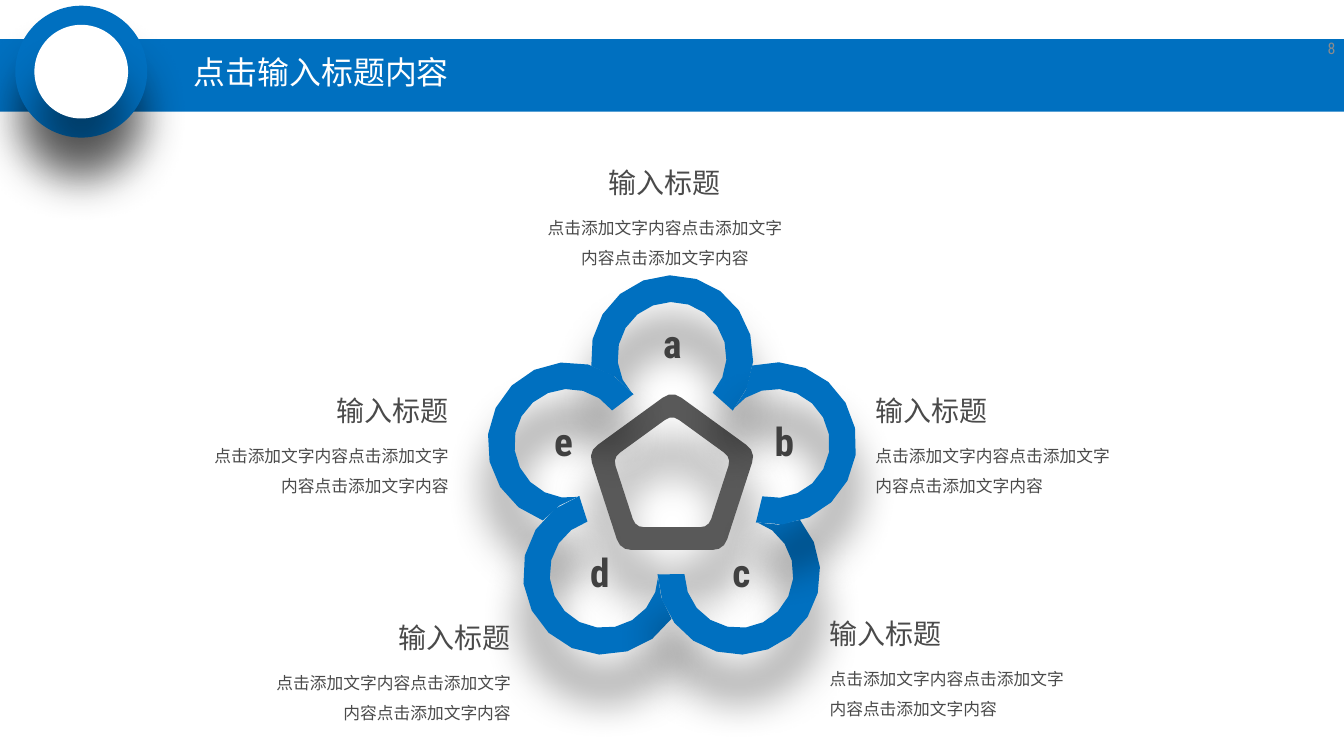
from dataclasses import dataclass
from math import atan2, ceil, cos, pi, radians, sin, tau

from lxml import etree
from pptx import Presentation
from pptx.dml.color import RGBColor
from pptx.enum.shapes import MSO_SHAPE as Shape
from pptx.enum.text import MSO_ANCHOR as Anchor, PP_ALIGN as Align
from pptx.oxml.ns import qn
from pptx.util import Inches, Pt


@dataclass(frozen=True)
class Theme:
    blue: RGBColor = RGBColor(0x00, 0x70, 0xC0)
    white: RGBColor = RGBColor(0xFF, 0xFF, 0xFF)
    pentagon: RGBColor = RGBColor(0x59, 0x59, 0x59)
    letter: RGBColor = RGBColor(0x40, 0x40, 0x40)
    body: RGBColor = RGBColor(0x4A, 0x4A, 0x4A)
    page: RGBColor = RGBColor(0x8C, 0x8C, 0x8C)
    font: str = "Roboto Condensed"
    title_size: float = 24
    letter_size: float = 29.6
    heading_size: float = 21.09
    body_size: float = 12.66
    page_size: float = 12


theme = Theme()


def paint(shape, color, shadow=True):
    """Fill a shape without outline, optionally with a soft shadow below it."""
    shape.fill.solid()
    shape.fill.fore_color.rgb = color
    shape.line.fill.background()
    shape.shadow.inherit = False
    if shadow:
        effects = shape._element.spPr.find(qn("a:effectLst"))
        outer = etree.SubElement(effects, qn("a:outerShdw"), blurRad=str(Pt(33)),
                                 dist=str(Pt(33)), dir="5400000", rotWithShape="0")
        black = etree.SubElement(outer, qn("a:srgbClr"), val="000000")
        etree.SubElement(black, qn("a:alpha"), val="43000")


def arc(center, radius, start, end):
    """Points in inches, clockwise from the direction of start to that of end."""
    first, last = (atan2(y - center[1], x - center[0]) for x, y in (start, end))
    sweep = (last - first) % tau
    steps = ceil(sweep / radians(20))
    angles = [first + sweep * step / steps for step in range(steps + 1)]
    return [(center[0] + radius * cos(angle), center[1] + radius * sin(angle))
            for angle in angles]


presentation = Presentation()
presentation.slide_width = Inches(14.06)
presentation.slide_height = Inches(7.91)
slide = presentation.slides.add_slide(presentation.slide_layouts[6])
shapes = slide.shapes

# Header band and badge
band = shapes.add_shape(Shape.RECTANGLE, 0, Inches(0.41), Inches(14.06), Inches(0.76))
paint(band, theme.blue, shadow=False)
for inset, color in ((0, theme.blue), (0.2, theme.white)):
    size = Inches(1.38 - 2 * inset)
    badge = shapes.add_shape(Shape.OVAL, Inches(0.16 + inset), Inches(0.06 + inset), size, size)
    paint(badge, color)

# Rounded pentagon ring: (center height, circumradius, corner cut)
ring_contours = []
for center_y, radius, cut in ((5.01, 0.92, 0.12), (4.99, 0.65, 0.09)):
    corners = [(7.03 + radius * sin(radians(72 * i)), center_y - radius * cos(radians(72 * i)))
               for i in range(5)]
    side = 2 * radius * sin(pi / 5)
    contour = []
    for i, corner in enumerate(corners):
        before, after = corners[i - 1], corners[(i + 1) % 5]
        entry, leave = ([c + (n - c) * cut / side for c, n in zip(corner, near)]
                        for near in (before, after))
        for t in (0, 0.33, 0.67, 1):
            contour.append([(1 - t) ** 2 * a + 2 * t * (1 - t) * b + t * t * c
                            for a, b, c in zip(entry, corner, leave)])
    ring_contours.append(contour)

# Petals clockwise from the top; joint and crossing are shared with the next petal
outer_radius, inner_radius = 0.85, 0.57
centers = [(7.03, 3.73), (8.11, 4.64), (7.73, 6), (6.32, 6), (5.95, 4.64)]
joints = [(7.66, 4.29), (7.91, 5.46), (6.88, 6.01), (6.06, 5.19), (6.62, 4.13)]
crossings = [(7.87, 3.83), (8.37, 5.44), (7.02, 6.47), (5.68, 5.44), (6.19, 3.83)]
outlines = [(ring_contours, theme.pentagon)]
for i in (0, 4, 3, 2, 1):
    inside = arc(centers[i], inner_radius, joints[i - 1], joints[i])
    outside = arc(centers[i], outer_radius, crossings[i - 1], joints[i])
    seam = arc(centers[i - 1], outer_radius, crossings[i - 1], joints[i - 1])
    outlines.append(([inside + outside[::-1] + seam[1:]], theme.blue))

for contours, color in outlines:
    builder = None
    for contour in contours:
        start, *rest = [(Inches(x), Inches(y)) for x, y in contour]
        if builder is None:
            builder = shapes.build_freeform(*start)
        else:
            builder.move_to(*start)
        builder.add_line_segments(rest, close=True)
    paint(builder.convert_to_shape(), color)

# Text: (left, top, width, height), wrap, anchor, alignment, line spacing, runs
heading, body = "输入标题", "点击添加文字内容" * 3
heading_run = (heading, theme.heading_size, theme.body, False)
body_run = (body, theme.body_size, theme.body, False)
texts = []
for letter, left, top in (("a", 6.83, 3.29), ("b", 8, 4.32), ("e", 5.69, 4.32),
                          ("d", 6.07, 5.69), ("c", 7.55, 5.69)):
    texts.append(((left, top, 0.41, 0.6), False, Anchor.TOP, Align.CENTER, 1,
                  [(letter, theme.letter_size, theme.letter, True)]))
for left, top, align in ((5.62, 1.51, Align.CENTER), (9.06, 3.89, Align.LEFT),
                         (2.12, 3.89, Align.RIGHT), (2.77, 6.27, Align.RIGHT),
                         (8.58, 6.23, Align.LEFT)):
    texts.append(((left, top, 2.67, 1.36), True, Anchor.TOP, align, 1.5,
                  [heading_run, body_run]))
texts.append(((1.93, 0.5, 3.47, 0.55), True, Anchor.MIDDLE, Align.LEFT, 0.9,
              [("点击输入标题内容", theme.title_size, theme.white, False)]))
texts.append(((13.38, 0.29, 0.69, 0.42), True, Anchor.MIDDLE, Align.RIGHT, 1,
              [("8", theme.page_size, theme.page, False)]))

for place, wrap, anchor, align, spacing, runs in texts:
    frame = shapes.add_textbox(*map(Inches, place)).text_frame
    frame.word_wrap = wrap
    frame.vertical_anchor = anchor
    for index, (text, size, color, bold) in enumerate(runs):
        paragraph = frame.add_paragraph() if index else frame.paragraphs[0]
        paragraph.alignment = align
        paragraph.line_spacing = spacing
        if index:
            paragraph.space_before = Pt(6.3)
        run = paragraph.add_run()
        run.text = text
        run.font.name = theme.font
        run.font.size = Pt(size)
        run.font.bold = bold
        run.font.color.rgb = color

presentation.save("out.pptx")
